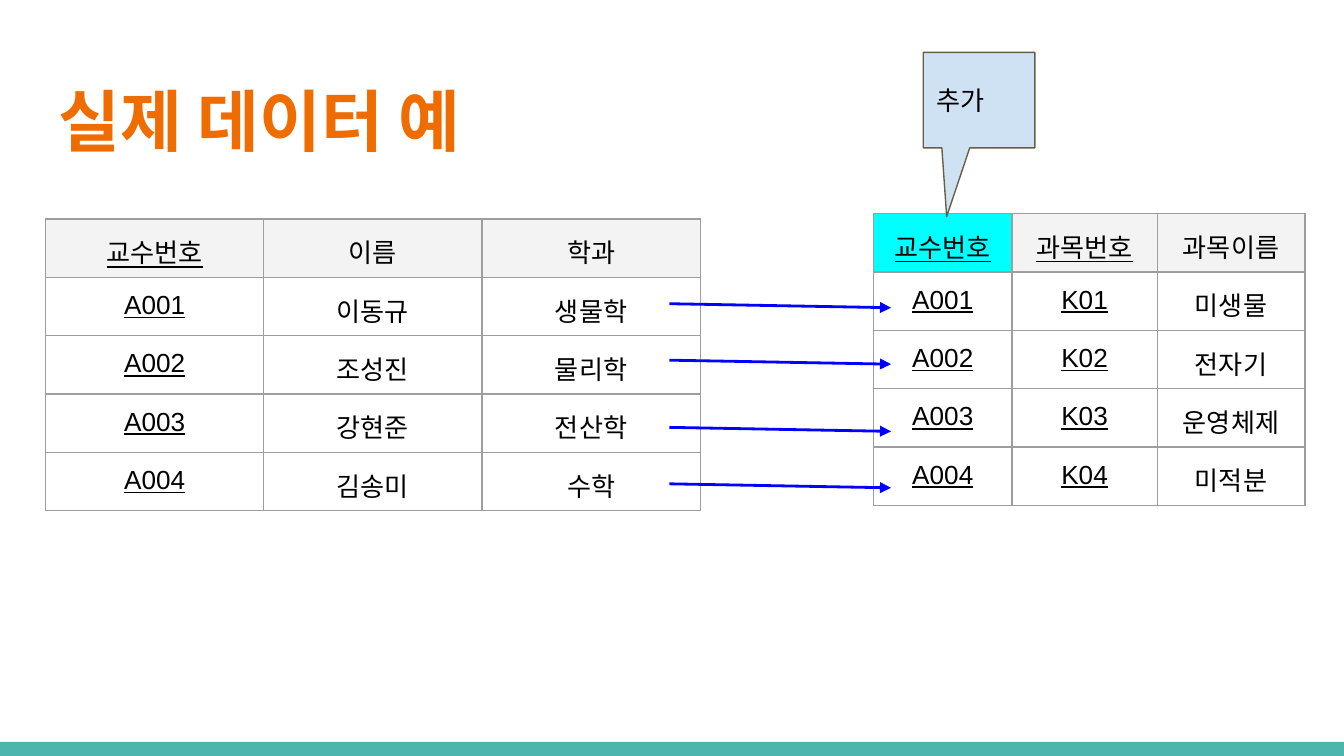
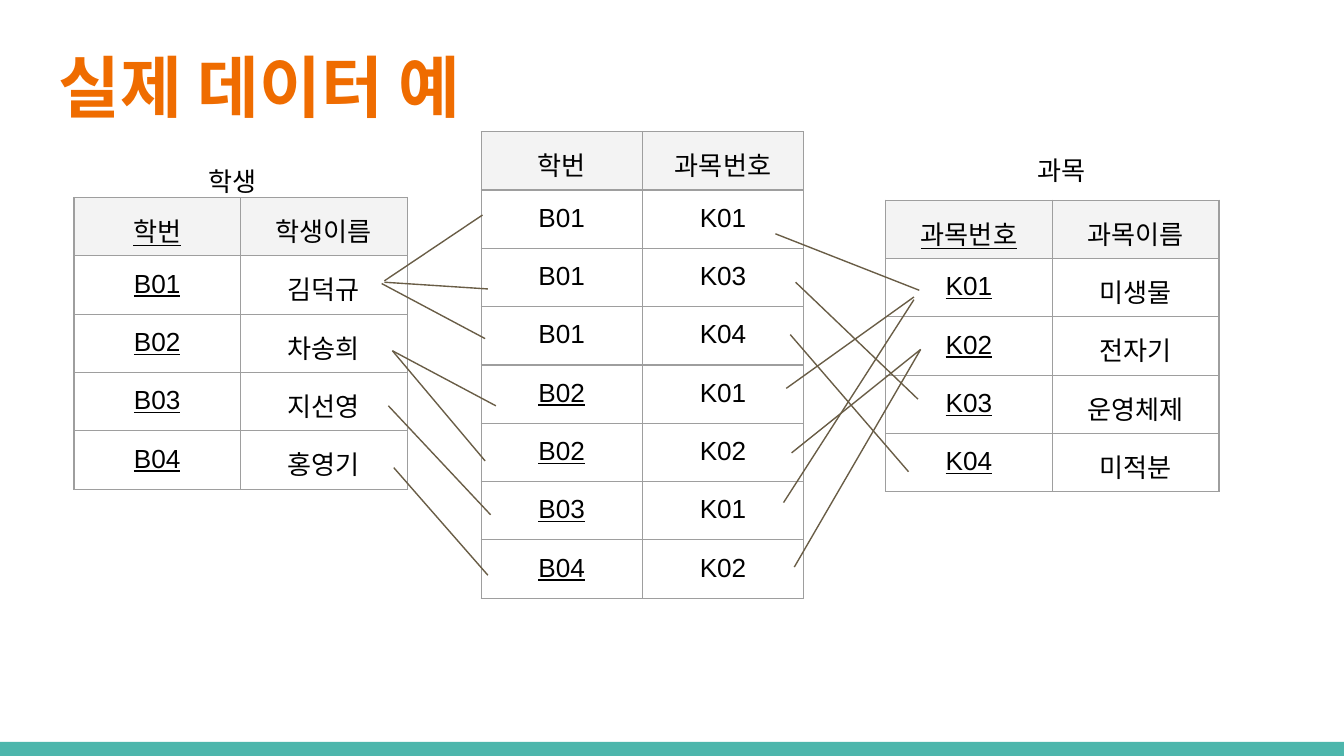
"""Build two slides of sample relational data with linked tables."""
from lxml import etree
from pptx import Presentation
from pptx.dml.color import RGBColor
from pptx.enum.shapes import MSO_CONNECTOR, MSO_SHAPE
from pptx.enum.text import MSO_ANCHOR, PP_ALIGN
from pptx.oxml.ns import qn
from pptx.util import Inches, Pt

LINE = MSO_CONNECTOR.STRAIGHT
RECT = MSO_SHAPE.RECTANGLE
CALLOUT = MSO_SHAPE.ROUNDED_RECTANGULAR_CALLOUT
MIDDLE = MSO_ANCHOR.MIDDLE
TOP = MSO_ANCHOR.TOP
LEFT = PP_ALIGN.LEFT
CENTER = PP_ALIGN.CENTER

rgb = RGBColor.from_string
TEAL, ORANGE, BROWN, BLUE = "4DB6AC", "EF6C00", "695D46", "0000FF"
BLACK, HEADER, CYAN, PALE_BLUE, BORDER = "000000", "F3F3F3", "00FFFF", "CFE2F3", "9E9E9E"
MARGIN = Inches(0.1)
ROW_HEIGHT = 0.42


def write(tf, text, size=14, font="Arial", color=BLACK, bold=False, underline=False, align=LEFT):
    tf.text = text
    tf.word_wrap = True
    p = tf.paragraphs[0]
    p.alignment = align
    r = p.runs[0]
    r.font.size = Pt(size)
    r.font.bold = bold
    r.font.underline = underline
    r.font.color.rgb = rgb(color)
    r.font.name = font


def add_textbox(s, left, top, width, height, text, **style):
    sp = s.shapes.add_textbox(Inches(left), Inches(top), Inches(width), Inches(height))
    tf = sp.text_frame
    tf.margin_left = tf.margin_right = tf.margin_top = tf.margin_bottom = MARGIN
    tf.vertical_anchor = TOP
    write(tf, text, **style)


professors = (0.34, 1.63, [4.87 / 3] * 3, 1, 0, HEADER, [
    ["교수번호", "이름", "학과"],
    ["A001", "이동규", "생물학"],
    ["A002", "조성진", "물리학"],
    ["A003", "강현준", "전산학"],
    ["A004", "김송미", "수학"],
])
taught_courses = (6.5, 1.59, [1.03, 1.08, 1.1], 2, 0, CYAN, [
    ["교수번호", "과목번호", "과목이름"],
    ["A001", "K01", "미생물"],
    ["A002", "K02", "전자기"],
    ["A003", "K03", "운영체제"],
    ["A004", "K04", "미적분"],
])
students = (0.55, 1.47, [1.24] * 2, 1, 0, HEADER, [
    ["학번", "학생이름"],
    ["B01", "김덕규"],
    ["B02", "차송희"],
    ["B03", "지선영"],
    ["B04", "홍영기"],
])
courses = (6.59, 1.49, [1.24] * 2, 1, 0, HEADER, [
    ["과목번호", "과목이름"],
    ["K01", "미생물"],
    ["K02", "전자기"],
    ["K03", "운영체제"],
    ["K04", "미적분"],
])
enrolments = (3.58, 0.98, [1.2] * 2, 1, 4, HEADER, [
    ["학번", "과목번호"],
    ["B01", "K01"],
    ["B01", "K03"],
    ["B01", "K04"],
    ["B02", "K01"],
    ["B02", "K02"],
    ["B03", "K01"],
    ["B04", "K02"],
])

professor_links = [(4.98, y, 6.63, y + 0.03) for y in (2.26, 2.68, 3.18, 3.6)]
enrolment_links = [
    (6.84, 2.16, 5.77, 1.74),
    (6.8, 2.21, 5.85, 2.89),
    (6.8, 2.23, 5.83, 3.74),
    (6.85, 2.6, 5.91, 4.22),
    (6.85, 2.6, 5.89, 3.37),
    (6.83, 2.97, 5.92, 2.1),
    (6.76, 3.51, 5.88, 2.49),
    (2.86, 2.09, 3.59, 1.6),
    (2.86, 2.1, 3.63, 2.15),
    (2.84, 2.11, 3.61, 2.52),
    (2.92, 2.61, 3.69, 3.02),
    (2.92, 2.61, 3.61, 3.43),
    (2.89, 3.02, 3.65, 3.83),
    (2.93, 3.48, 3.63, 4.28),
]

slides = [
    (0.49, [professors, taught_courses], [], professor_links, BLUE, 1.5, True),
    (0.24, [students, courses, enrolments], [(1.45, 1.13, "학생"), (7.62, 1.05, "과목")],
     enrolment_links, BROWN, 0.75, False),
]

prs = Presentation()
prs.slide_width = Inches(10)
prs.slide_height = prs.slide_width * 9 // 16

for title_top, tables, labels, links, link_color, link_width, arrows in slides:
    s = prs.slides.add_slide(prs.slide_layouts[6])
    band = s.shapes.add_shape(RECT, 0, Inches(5.52), prs.slide_width, Inches(0.11))
    band.shadow.inherit = False
    band.fill.solid()
    band.fill.fore_color.rgb = rgb(TEAL)
    band.line.fill.background()
    add_textbox(s, 0.34, title_top, 9.32, 0.77, "실제 데이터 예",
                size=36, font="Arial Narrow", color=ORANGE, bold=True)

    for left, top, widths, key_columns, first_key_row, first_fill, rows in tables:
        table = s.shapes.add_table(len(rows), len(widths), Inches(left), Inches(top),
                                   Inches(sum(widths)), Inches(ROW_HEIGHT * len(rows))).table
        table.first_row = table.horz_banding = False
        for column, width in zip(table.columns, widths):
            column.width = Inches(width)
        for i, row in enumerate(rows):
            table.rows[i].height = Inches(ROW_HEIGHT)
            for j, text in enumerate(row):
                cell = table.cell(i, j)
                cell.margin_left = cell.margin_right = MARGIN
                cell.margin_top = cell.margin_bottom = MARGIN
                is_key = j < key_columns and i >= first_key_row
                write(cell.text_frame, text, underline=is_key, align=CENTER)
                tcPr = cell._tc.get_or_add_tcPr()
                for side in ("a:lnL", "a:lnR", "a:lnT", "a:lnB"):
                    ln = etree.SubElement(tcPr, qn(side), w=str(Pt(0.75)))
                    fill = etree.SubElement(ln, qn("a:solidFill"))
                    etree.SubElement(fill, qn("a:srgbClr"), val=BORDER)
                if i == 0:
                    cell.fill.solid()
                    cell.fill.fore_color.rgb = rgb(first_fill if j == 0 else HEADER)
                else:
                    cell.fill.background()

    for left, top, text in labels:
        add_textbox(s, left, top, 0.62, 0.35, text, font="Open Sans")

    for x1, y1, x2, y2 in links:
        link = s.shapes.add_connector(LINE, Inches(x1), Inches(y1), Inches(x2), Inches(y2))
        link.line.color.rgb = rgb(link_color)
        link.line.width = Pt(link_width)
        if arrows:
            etree.SubElement(link.line._get_or_add_ln(), qn("a:tailEnd"), type="triangle")
        etree.SubElement(link._element.spPr, qn("a:effectLst"))

callout = prs.slides[0].shapes.add_shape(CALLOUT, Inches(6.87), Inches(0.39), Inches(0.83), Inches(0.71))
callout.shadow.inherit = False
for k, value in enumerate((-0.29, 1.22, 0)):
    callout.adjustments[k] = value
callout.fill.solid()
callout.fill.fore_color.rgb = rgb(PALE_BLUE)
callout.line.color.rgb = rgb(BROWN)
callout.line.width = Pt(0.75)
tf = callout.text_frame
tf.margin_left = tf.margin_right = tf.margin_top = tf.margin_bottom = MARGIN
tf.vertical_anchor = MIDDLE
write(tf, "추가")

prs.save("out.pptx")
